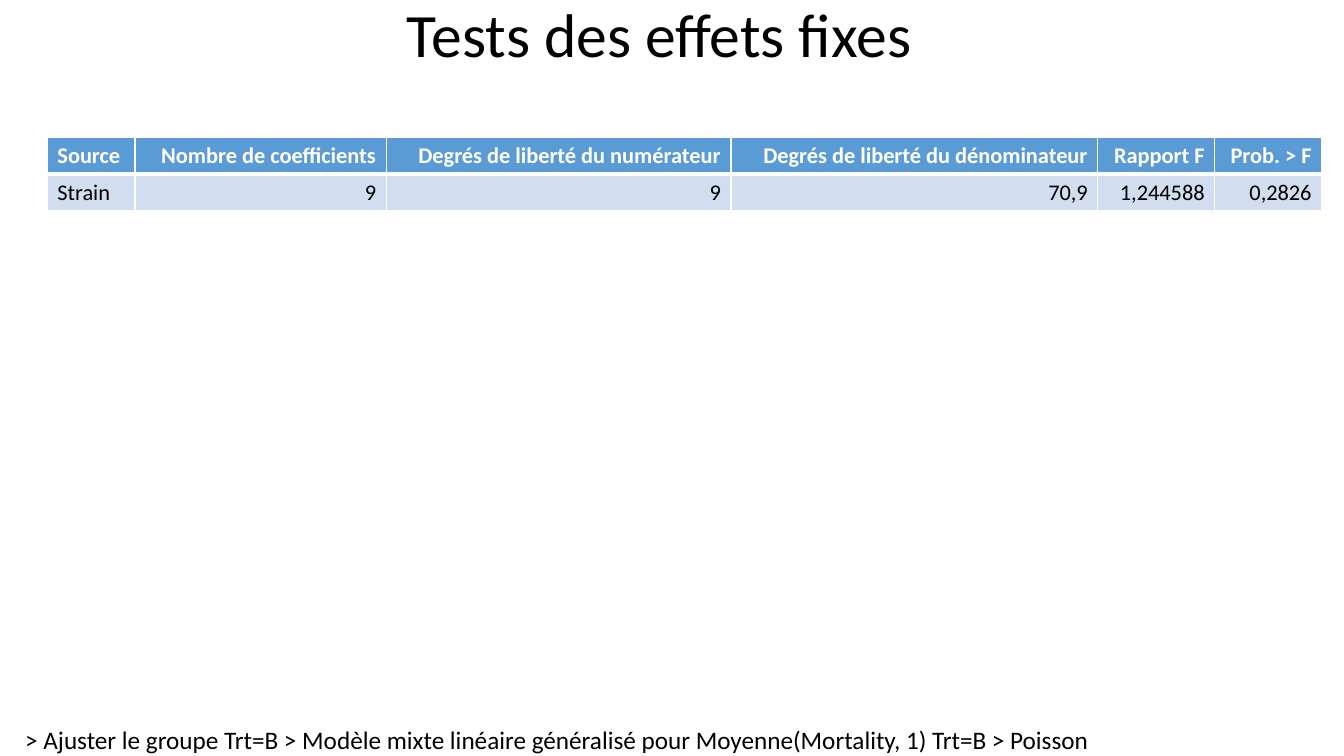
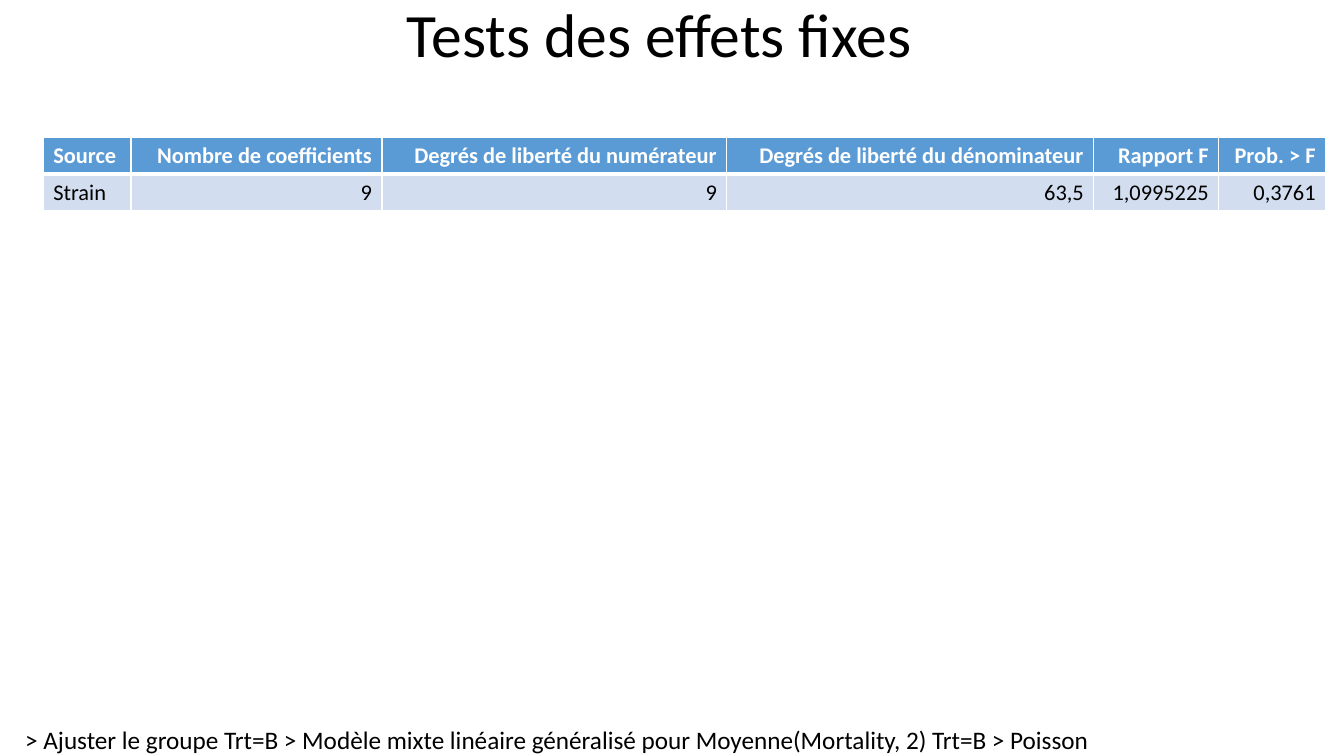
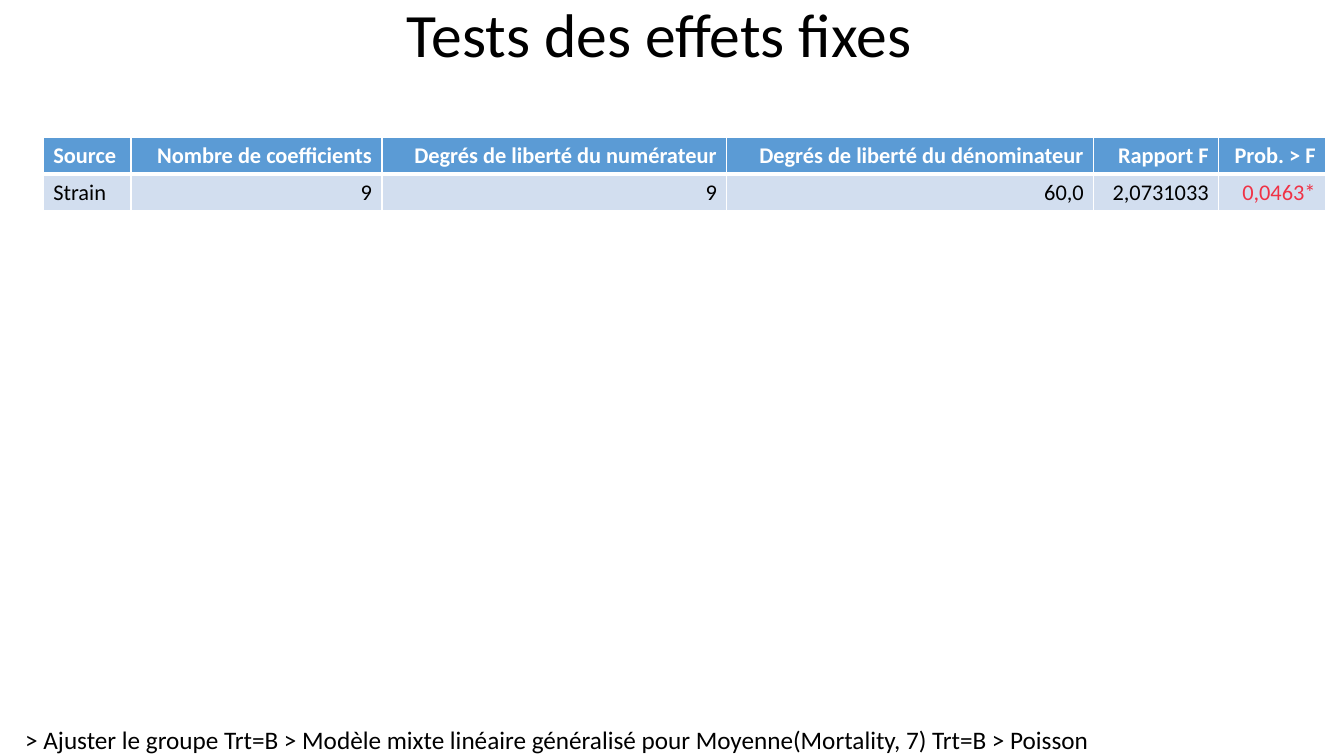
from pptx import Presentation
from pptx.dml.color import RGBColor
from pptx.enum.text import MSO_ANCHOR, MSO_AUTO_SIZE as AutoSize, PP_ALIGN as Align
from pptx.oxml import parse_xml
from pptx.oxml.ns import nsdecls
from pptx.util import Pt

PX = 9144  # 100 px to the inch
BLACK = RGBColor(0x00, 0x00, 0x00)
WHITE = RGBColor(0xFF, 0xFF, 0xFF)
HEADER_BLUE = RGBColor(0x5B, 0x9B, 0xD5)
ROW_BLUE = RGBColor(0xD2, 0xDE, 0xEF)
SIGNIFICANT_RED = RGBColor(0xF0, 0x32, 0x46)

HEADINGS = ["Source", "Nombre de coefficients", "Degrés de liberté du numérateur",
            "Degrés de liberté du dénominateur", "Rapport F", "Prob. > F"]

# Day, denominator degrees of freedom, F ratio, probability, F column width
TESTS = [
    (1, "70,9", "1,244588", "0,2826", 116),
    (2, "63,5", "1,0995225", "0,3761", 124),
    (7, "60,0", "2,0731033", "0,0463*", 124),
]


class Deck:
    FONT = "Calibri"
    TABLE_TOP = 136
    TABLE_AXIS = 1359  # twice the centre line of the tables
    ROW_HEIGHT = 36

    def __init__(self):
        self.prs = Presentation()
        self.prs.slide_width, self.prs.slide_height = self.box(1333, 750)
        self.slide = None

    @staticmethod
    def box(*lengths):
        return [length * PX for length in lengths]

    def style(self, paragraph, size, color, bold=False, align=Align.LEFT):
        paragraph.alignment = align
        font = paragraph.font
        font.name, font.size, font.bold = self.FONT, Pt(size), bold
        font.color.rgb = color

    def new_slide(self, heading):
        self.slide = self.prs.slides.add_slide(self.prs.slide_layouts[5])
        title = self.slide.shapes.title
        title.left, title.top, title.width, title.height = self.box(0, 0, 1308, 75)
        frame = title.text_frame
        frame.text = heading
        frame.auto_size = AutoSize.NONE
        frame.vertical_anchor = MSO_ANCHOR.MIDDLE
        frame.paragraphs[0].line_spacing = 0.9
        self.style(frame.paragraphs[0], 44, BLACK, align=Align.CENTER)

    def footer(self, text):
        frame = self.slide.shapes.add_textbox(*self.box(25, 719, 1064, 31)).text_frame
        frame.text = text
        frame.margin_left = frame.margin_top = frame.margin_right = frame.margin_bottom = 0
        frame.word_wrap = False
        frame.auto_size = AutoSize.SHAPE_TO_FIT_TEXT
        self.style(frame.paragraphs[0], 18, BLACK)

    def borders(self, cell, **widths):
        properties = cell._tc.get_or_add_tcPr()
        for side in "LRTB":
            properties.append(parse_xml(
                f'<a:ln{side} {nsdecls("a")} w="{Pt(widths.get(side, 1))}"><a:solidFill>'
                f'<a:srgbClr val="{WHITE}"/></a:solidFill></a:ln{side}>'))

    def table(self, rows, widths):
        width = sum(widths)
        left = (self.TABLE_AXIS - width) // 2
        table = self.slide.shapes.add_table(
            len(rows), len(widths),
            *self.box(left, self.TABLE_TOP, width, self.ROW_HEIGHT * len(rows))).table
        table.horz_banding = False
        for column, column_width in zip(table.columns, widths):
            column.width = column_width * PX
        for r, texts in enumerate(rows):
            header = r == 0
            for c, text in enumerate(texts):
                cell = table.cell(r, c)
                cell.text = text
                # Thick rule between the header and the first data row
                self.borders(cell, **({"B": 3} if header else {"T": 3} if r == 1 else {}))
                cell.fill.solid()
                cell.fill.fore_color.rgb = HEADER_BLUE if header else ROW_BLUE
                color = WHITE if header else SIGNIFICANT_RED if text.endswith("*") else BLACK
                self.style(cell.text_frame.paragraphs[0], 16, color, header,
                           Align.RIGHT if c else Align.LEFT)


def main():
    deck = Deck()
    for day, denominator, f_ratio, probability, f_width in TESTS:
        deck.new_slide("Tests des effets fixes")
        deck.footer("> Ajuster le groupe Trt=B > Modèle mixte linéaire généralisé pour "
                    f"Moyenne(Mortality, {day}) Trt=B > Poisson")
        deck.table([HEADINGS, ["Strain", "9", "9", denominator, f_ratio, probability]],
                   [87, 249, 342, 364, f_width, 106])
    deck.prs.save("out.pptx")


if __name__ == "__main__":
    main()
